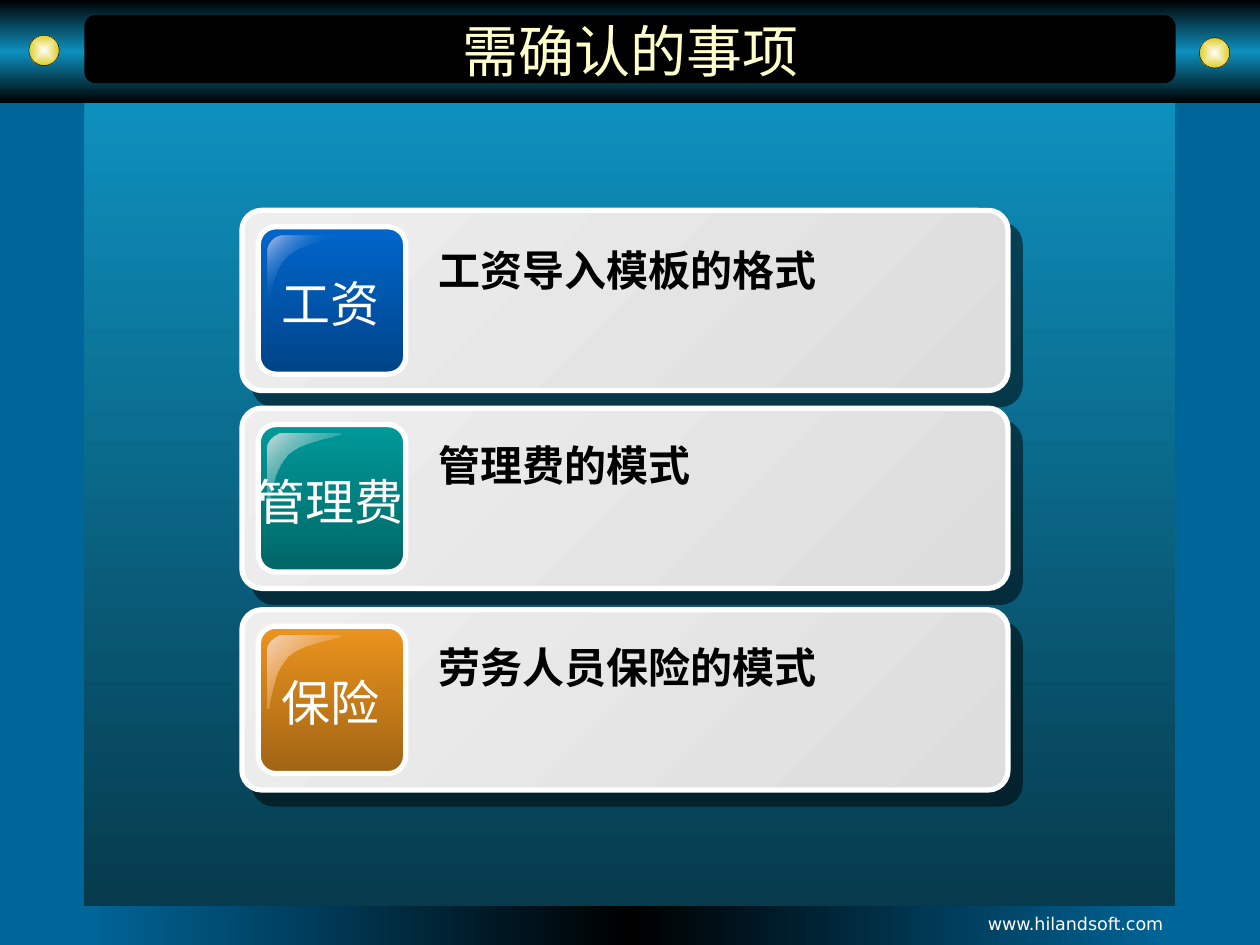
"""Build the slide listing the three items that need confirmation."""
from dataclasses import dataclass

import pptx
import pptx.dml.color
import pptx.enum.shapes
import pptx.enum.text
import pptx.oxml
import pptx.oxml.ns
import pptx.util
from lxml import etree

Inches = pptx.util.Inches
RGBColor = pptx.dml.color.RGBColor
Shape = pptx.enum.shapes.MSO_SHAPE
Align = pptx.enum.text.PP_ALIGN
AutoSize = pptx.enum.text.MSO_AUTO_SIZE
qn = pptx.oxml.ns.qn

BLACK = RGBColor(0x00, 0x00, 0x00)
WHITE = RGBColor(0xFF, 0xFF, 0xFF)
CREAM = RGBColor(0xFF, 0xFF, 0xCC)
BACKDROP = RGBColor(0x00, 0x66, 0x99)
SKY = RGBColor(0x0E, 0x90, 0xBE)
DEEP_SEA = RGBColor(0x06, 0x3A, 0x4C)
GOLD = RGBColor(0xDF, 0xCD, 0x21)
CARD_LIGHT = RGBColor(0xEE, 0xEE, 0xEE)
CARD_DARK = RGBColor(0xDD, 0xDD, 0xDD)
BLUE = RGBColor(0x00, 0x66, 0xCC)
BLUE_DARK = RGBColor(0x00, 0x44, 0x88)
BLUE_GLOSS = RGBColor(0xB5, 0xC0, 0xE5)
TEAL = RGBColor(0x00, 0x99, 0x99)
TEAL_DARK = RGBColor(0x00, 0x66, 0x66)
TEAL_GLOSS = RGBColor(0xC9, 0xDB, 0xDB)
ORANGE = RGBColor(0xEC, 0x94, 0x1E)
ORANGE_DARK = RGBColor(0xA0, 0x64, 0x14)
ORANGE_GLOSS = RGBColor(0xF6, 0xD4, 0xBF)


@dataclass(frozen=True)
class Stop:
    position: int
    color: RGBColor
    opacity: int = 100


@dataclass(frozen=True)
class Item:
    label: str
    description: str
    top: float
    description_top: float
    color: RGBColor
    shade: RGBColor
    gloss: tuple[Stop, ...]


ITEMS = (
    Item("工资", "工资导入模板的格式", 1.67, 1.89, BLUE, BLUE_DARK,
         (Stop(0, BLUE_GLOSS), Stop(50, BLUE, 0), Stop(100, BLUE_GLOSS))),
    Item("管理费", "管理费的模式", 3.24, 3.44, TEAL, TEAL_DARK,
         (Stop(0, TEAL_GLOSS), Stop(100, TEAL, 0))),
    Item("保险", "劳务人员保险的模式", 4.84, 5.04, ORANGE, ORANGE_DARK,
         (Stop(0, ORANGE_GLOSS), Stop(100, ORANGE, 0))),
)
GLOSS_CURVES = (
    ((0.32, 0.2), (0.26, 0.2), (0.2, 0.26), (0.2, 0.32)),
    ((0.2, 0.78), (0.23, 0.79), (0.22, 0.51), (0.36, 0.37)),
    ((0.36, 0.37), (0.51, 0.24), (0.79, 0.23), (0.78, 0.2)),
)


def fill_gradient(shape, stops: tuple[Stop, ...], angle: int | None) -> None:
    """Fill along a clockwise angle, or outward from the centre without one."""
    shape.fill.gradient()
    gradient = shape.element.spPr.find(qn("a:gradFill"))
    stop_list = gradient.find(qn("a:gsLst"))
    for old_stop in list(stop_list):
        stop_list.remove(old_stop)
    for stop in stops:
        entry = etree.SubElement(stop_list, qn("a:gs"), pos=str(stop.position * 1000))
        color = etree.SubElement(entry, qn("a:srgbClr"), val=str(stop.color))
        if stop.opacity < 100:
            etree.SubElement(color, qn("a:alpha"), val=str(stop.opacity * 1000))
    direction = gradient.find(qn("a:lin"))
    if angle is not None:
        direction.set("ang", str(angle * 60000))
        return
    gradient.remove(direction)
    radial = etree.SubElement(gradient, qn("a:path"), path="shape")
    etree.SubElement(radial, qn("a:fillToRect"), l="50000", t="50000", r="50000", b="50000")


def add_panel(shapes, kind, box: tuple[float, ...], stops: tuple[Stop, ...],
              angle: int | None = 90, line: RGBColor | None = None,
              line_width: float = 0, corner: float | None = None):
    """Add a filled preset shape at a box given in inches."""
    panel = shapes.add_shape(kind, *map(Inches, box))
    panel.shadow.inherit = False
    if corner is not None:
        panel.adjustments[0] = corner
    if len(stops) == 1:
        panel.fill.solid()
        panel.fill.fore_color.rgb = stops[0].color
    else:
        fill_gradient(panel, stops, angle)
    if line is None:
        panel.line.fill.background()
    else:
        panel.line.color.rgb = line
        panel.line.width = pptx.util.Pt(line_width)
    return panel


def write(frame, text: str, font: str, size: int, color: RGBColor,
          align=Align.LEFT, bold: bool = False) -> None:
    """Set one formatted paragraph."""
    frame.text = text
    paragraph = frame.paragraphs[0]
    paragraph.alignment = align
    style = paragraph.runs[0].font
    style.name, style.size, style.bold = font, pptx.util.Pt(size), bold
    style.color.rgb = color


def add_text(shapes, box: tuple[float, ...], text: str, font: str, size: int,
             color: RGBColor, align=Align.LEFT, bold: bool = False,
             wrap: bool = True, grow: bool = True) -> None:
    """Add a text box at a box given in inches."""
    frame = shapes.add_textbox(*map(Inches, box)).text_frame
    frame.word_wrap = wrap
    frame.auto_size = AutoSize.SHAPE_TO_FIT_TEXT if grow else AutoSize.NONE
    write(frame, text, font, size, color, align, bold)


def add_card_shadow(card) -> None:
    """Cast a hard half-transparent shadow down and to the right."""
    effects = card.element.spPr.find(qn("a:effectLst"))
    shadow = etree.SubElement(effects, qn("a:outerShdw"), dist=str(pptx.util.Pt(10.6)),
                              dir=str(49 * 60000), algn="ctr", rotWithShape="0")
    color = etree.SubElement(shadow, qn("a:srgbClr"), val=str(BLACK))
    etree.SubElement(color, qn("a:alpha"), val="50000")


def curve_points(curve, steps: int = 12) -> list[tuple[float, float]]:
    """Sample a cubic curve."""
    weights = [((1 - t) ** 3, 3 * t * (1 - t) ** 2, 3 * t * t * (1 - t), t ** 3)
               for t in (step / steps for step in range(steps + 1))]
    return [tuple(sum(w * point[axis] for w, point in zip(weight, curve))
                  for axis in (0, 1)) for weight in weights]


def add_gloss(shapes, left: float, top: float, stops: tuple[Stop, ...]) -> None:
    """Add the curved highlight in the corner of a tile."""
    outline = [(Inches(left + x), Inches(top + y))
               for curve in GLOSS_CURVES for x, y in curve_points(curve)]
    builder = shapes.build_freeform(*outline[0])
    builder.add_line_segments(outline[1:], close=True)
    gloss = builder.convert_to_shape()
    gloss.shadow.inherit = False
    gloss.line.fill.background()
    fill_gradient(gloss, stops, 45)


def add_item(slide, item: Item) -> None:
    """Add a grouped card with its tile, label and description."""
    shapes = slide.shapes.add_group_shape().shapes
    left = 1.92
    card = add_panel(shapes, Shape.ROUNDED_RECTANGLE, (left, item.top, 6.08, 1.43),
                     (Stop(0, CARD_LIGHT), Stop(100, CARD_DARK)), 45, WHITE, 3, 0.11)
    add_card_shadow(card)
    add_panel(shapes, Shape.ROUNDED_RECTANGLE, (left + 0.13, item.top + 0.13, 1.17, 1.17),
              (Stop(0, item.color), Stop(100, item.shade)), 90, WHITE, 3, 0.12)
    add_gloss(shapes, left, item.top, item.gloss)
    add_text(shapes, (left + 0.01, item.top + 0.45, 1.38, 0.57), item.label,
             "Arial", 28, WHITE, Align.CENTER, wrap=False)
    add_text(shapes, (3.38, item.description_top, 4.47, 0.51), item.description,
             "Arial", 24, BLACK, bold=True)


def add_frame(slide) -> None:
    """Add the header, footer, content panel and lamps."""
    slide.background.fill.solid()
    slide.background.fill.fore_color.rgb = BACKDROP
    shapes = slide.shapes
    add_panel(shapes, Shape.RECTANGLE, (0, 0, 10, 0.82),
              (Stop(0, BLACK), Stop(50, SKY), Stop(100, BLACK)))
    add_panel(shapes, Shape.ROUNDED_RECTANGLE, (0.67, 0.12, 8.66, 0.54), (Stop(0, BLACK),))
    add_panel(shapes, Shape.RECTANGLE, (0.67, 7.18, 8.66, 0.32),
              (Stop(0, BACKDROP), Stop(50, BLACK), Stop(100, BACKDROP)), 0)
    add_panel(shapes, Shape.RECTANGLE, (0.67, 0.82, 8.66, 6.37),
              (Stop(0, SKY), Stop(100, DEEP_SEA)))
    for left, top in ((0.23, 0.28), (9.52, 0.3)):
        add_panel(shapes, Shape.OVAL, (left, top, 0.24, 0.24),
                  (Stop(0, WHITE), Stop(100, GOLD)), None, BLACK, 0.25)
    add_text(shapes, (7.08, 7.2, 2.25, 0.3), "www.hilandsoft.com",
             "DejaVu Sans", 10, WHITE, Align.RIGHT, grow=False)


def main() -> None:
    """Assemble and save the presentation."""
    deck = pptx.Presentation()
    deck.slide_width, deck.slide_height = Inches(10), Inches(7.5)
    slide = deck.slides.add_slide(deck.slide_layouts[5])
    add_frame(slide)
    title = slide.shapes.title
    title.element.getparent().append(title.element)
    title.left, title.top, title.width, title.height = map(Inches, (0.67, 0.15, 8.67, 0.5))
    title.text_frame.auto_size = AutoSize.NONE
    title.text_frame.vertical_anchor = pptx.enum.text.MSO_ANCHOR.MIDDLE
    write(title.text_frame, "需确认的事项", "DejaVu Sans", 32, CREAM, Align.CENTER)
    for item in ITEMS:
        add_item(slide, item)
    deck.save("out.pptx")


if __name__ == "__main__":
    main()
